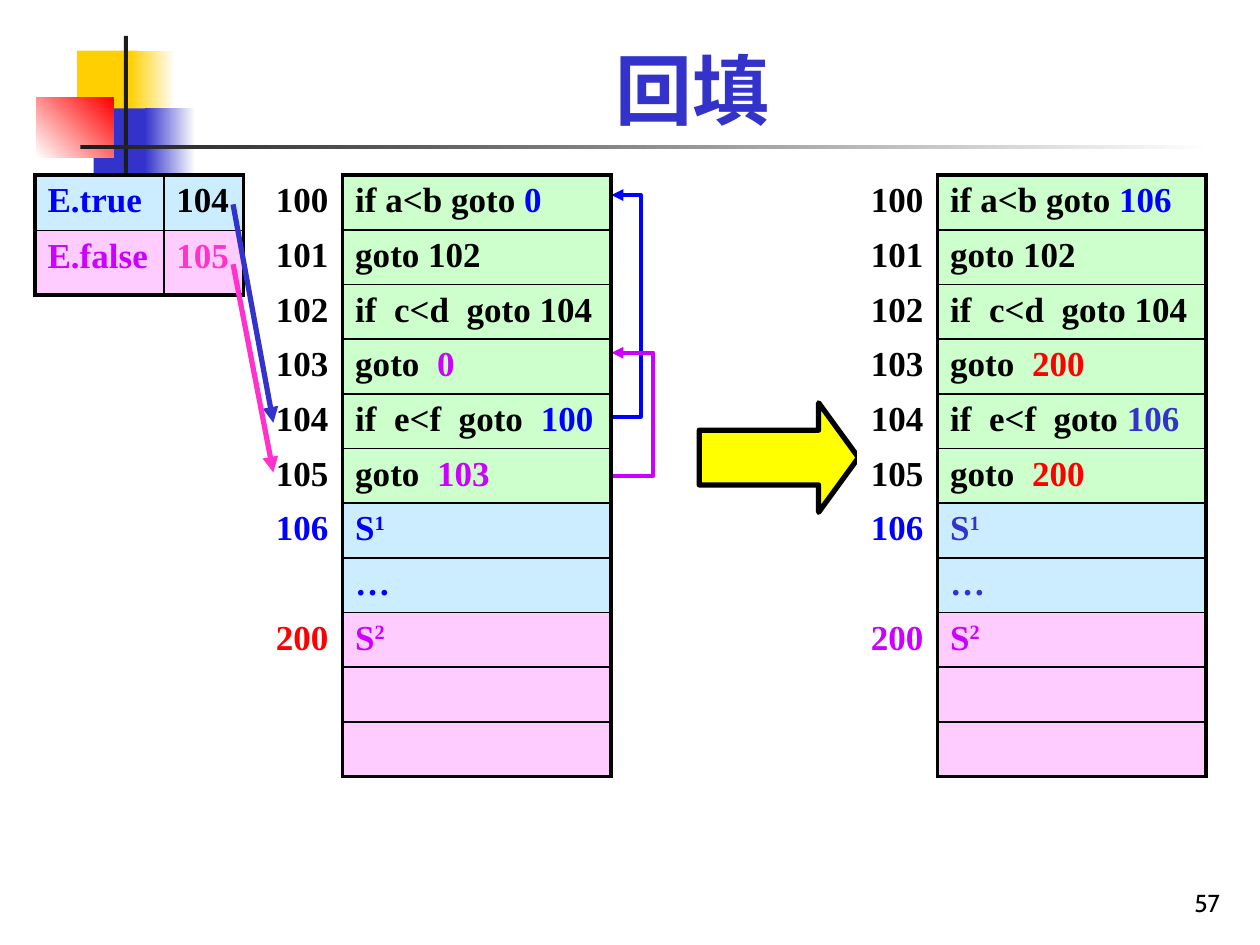
from pptx import Presentation
from pptx.dml.color import RGBColor
from pptx.enum.shapes import MSO_CONNECTOR, MSO_SHAPE
from pptx.enum.text import MSO_ANCHOR, PP_ALIGN
from pptx.oxml import parse_xml
from pptx.oxml.ns import nsdecls
from pptx.util import Pt

FACE = "Times New Roman"
BLACK, WHITE, NAVY, BLUE = "000000", "FFFFFF", "3333CC", "0000FF"
PURPLE, PINK, RED, GOLD = "CC00FF", "FF33CC", "FF0000", "FFCF01"
GREEN, SKY, ROSE, DARK = "CCFFCC", "CCECFF", "FFCCFF", "1C1C1C"
TOP, ROW, NARROW, WIDE = 100.1, 31.22, 45.4, 153.3


def tint(text):
    """Turn a hex string into a colour."""
    return RGBColor.from_string(text)


def place(shape, left, top, width, height):
    """Set the position and size of a shape."""
    shape.left, shape.top = Pt(left), Pt(top)
    shape.width, shape.height = Pt(width), Pt(height)


def write(para, runs, size=20, face=FACE, bold=True):
    """Add runs given as text, colour and an optional raised mark."""
    for text, ink, *raised in runs:
        run = para.add_run()
        run.text = text
        font = run.font
        font.size, font.name, font.bold = Pt(size), face, bold
        font.color.rgb = tint(ink)
        if raised:
            run._r.get_or_add_rPr().set("baseline", "30000")


def block(slide, box, fill, end=None, angle=0):
    """Draw a borderless rectangle, plain or fading to a second colour."""
    shape = slide.shapes.add_shape(MSO_SHAPE.RECTANGLE, *map(Pt, box))
    shape.shadow.inherit = False
    shape.line.fill.background()
    if end is None:
        shape.fill.solid()
        shape.fill.fore_color.rgb = tint(fill)
        return
    shape.fill.gradient()
    shape.fill.gradient_angle = angle
    for stop, ink, spot in zip(shape.fill.gradient_stops, (fill, end), (0, 1)):
        stop.color.rgb = tint(ink)
        stop.position = spot


def arrow(slide, ends, ink, weight, bend=None):
    """Draw a straight arrow, or an elbow that turns at a given x."""
    kind = MSO_CONNECTOR.STRAIGHT if bend is None else MSO_CONNECTOR.ELBOW
    line = slide.shapes.add_connector(kind, *map(Pt, ends))
    line.line.color.rgb = tint(ink)
    line.line.width = Pt(weight)
    if bend is not None:
        share = round((bend - ends[0]) / (ends[2] - ends[0]) * 100000)
        guides = line._element.spPr.prstGeom.get_or_add_avLst()
        guides.append(parse_xml(
            f'<a:gd {nsdecls("a")} name="adj1" fmla="val {share}"/>'))
    line.line._get_or_add_ln().append(
        parse_xml(f'<a:tailEnd {nsdecls("a")} type="triangle"/>'))
    line._element.spPr.append(parse_xml(f'<a:effectLst {nsdecls("a")}/>'))


def edge(cell, side, weight):
    """Add a black border to one side of a cell."""
    cell._tc.get_or_add_tcPr().append(parse_xml(
        f'<a:ln{side} {nsdecls("a")} w="{Pt(weight)}"><a:solidFill>'
        f'<a:srgbClr val="{BLACK}"/></a:solidFill></a:ln{side}>'))


def grid(slide, left, widths, heights, rows, first=0):
    """Build a table whose frame starts at the column called first."""
    frame = slide.shapes.add_table(
        len(rows), len(widths), Pt(left), Pt(TOP), Pt(sum(widths)), Pt(sum(heights)))
    table = frame.table
    table.first_row = table.horz_banding = False
    for col, width in zip(table.columns, widths):
        col.width = Pt(width)
    for row, height in zip(table.rows, heights):
        row.height = Pt(height)
    for y, row in enumerate(rows):
        for x, (fill, runs) in enumerate(row):
            cell = table.cell(y, x)
            if x < first:
                edge(cell, "R", 2.25)
            else:
                outer = {"L": x == first, "R": x == len(widths) - 1,
                         "T": y == 0, "B": y == len(rows) - 1}
                for side, thick in outer.items():
                    edge(cell, side, 2.25 if thick else 1)
            cell.fill.solid()
            cell.fill.fore_color.rgb = tint(fill)
            write(cell.text_frame.paragraphs[0], runs)


def listing(slide, left, jumps, mark, last):
    """Build one code listing with its address column."""
    stems = ["if a<b goto ", "goto 102", "if  c<d  goto 104",
             "goto  ", "if  e<f  goto ", "goto  "]
    rows = []
    for step, stem in enumerate(stems):
        runs = [(stem, BLACK)] + jumps.get(step, [])
        rows.append([(WHITE, [(str(100 + step), BLACK)]), (GREEN, runs)])
    rows += [
        [(WHITE, [("106", BLUE)]), (SKY, [("S", mark), ("1", mark, True)])],
        [(WHITE, []), (SKY, [("…", mark)])],
        [(WHITE, [("200", last)]), (ROSE, [("S", PURPLE), ("2", PURPLE, True)])],
    ]
    rows += [[(WHITE, []), (ROSE, [])]] * 2
    grid(slide, left, [NARROW, WIDE], [ROW] * len(rows), rows, first=1)


def decor(slide):
    """Draw the coloured corner blocks and the rules."""
    block(slide, (44, 29, 34.5, 37.4), GOLD)
    block(slide, (74, 29, 26, 37.4), GOLD, WHITE)
    block(slide, (53.5, 62, 33, 37.4), NAVY)
    block(slide, (82.8, 62, 28.8, 37.4), NAVY, WHITE)
    block(slide, (20.7, 56, 44.2, 33.8), WHITE, RED, 45)
    block(slide, (70.8, 20.5, 2.3, 82.5), DARK)
    block(slide, (46, 82.8, 648, 2.3), DARK, WHITE)


def heading(slide):
    """Fill the title placeholder."""
    title = slide.shapes.title
    place(title, 87.8, 26, 615.6, 54.7)
    frame = title.text_frame
    frame.word_wrap = True
    frame.vertical_anchor = MSO_ANCHOR.BOTTOM
    para = frame.paragraphs[0]
    para.alignment = PP_ALIGN.CENTER
    write(para, [("回填", NAVY)], 44)


def number(slide):
    """Add the page number."""
    box = slide.shapes.add_textbox(Pt(554.4), Pt(491.8), Pt(149.8), Pt(36))
    frame = box.text_frame
    frame.word_wrap = True
    frame.vertical_anchor = MSO_ANCHOR.BOTTOM
    para = frame.paragraphs[0]
    para.alignment = PP_ALIGN.RIGHT
    write(para, [("57", BLACK)], 14, "Cabin", False)


def pointer(slide):
    """Draw the large yellow arrow between the listings."""
    shape = slide.shapes.add_shape(
        MSO_SHAPE.RIGHT_ARROW, Pt(399.6), Pt(230.2), Pt(91), Pt(62.6))
    shape.adjustments[1] = 0.364
    shape.shadow.inherit = False
    shape.fill.solid()
    shape.fill.fore_color.rgb = tint("FFFF00")
    shape.line.color.rgb = tint(BLACK)
    shape.line.width = Pt(3)


def main():
    """Build the slide and save it."""
    deck = Presentation()
    deck.slide_width, deck.slide_height = Pt(720), Pt(540)
    slide = deck.slides.add_slide(deck.slide_layouts[5])
    decor(slide)
    heading(slide)
    number(slide)
    pointer(slide)
    arrow(slide, (348.5, 238.3, 349.5, 111.5), BLUE, 2.25, 366.2)
    arrow(slide, (348.5, 272, 349.5, 201.6), PURPLE, 2.25, 373.5)
    listing(slide, 150.4, {0: [("0", BLUE)], 3: [("0", PURPLE)],
                           4: [(" ", BLACK), ("100", BLUE)],
                           5: [("103", PURPLE)]}, BLUE, RED)
    grid(slide, 20, [73.6, NARROW], [31.6, 36.8], [
        [(SKY, [("E.true", BLUE)]), (SKY, [("104", BLACK)])],
        [(ROSE, [("E.false", PURPLE)]), (ROSE, [("105", PINK)])]])
    arrow(slide, (133.2, 116.8, 156.2, 241.6), NAVY, 3)
    arrow(slide, (133.2, 151, 156.2, 270), PINK, 3)
    listing(slide, 490.4, {0: [("106", BLUE)], 3: [("200", RED)],
                           4: [("106", NAVY)], 5: [("200", RED)]}, NAVY, PURPLE)
    deck.save("out.pptx")


if __name__ == "__main__":
    main()
